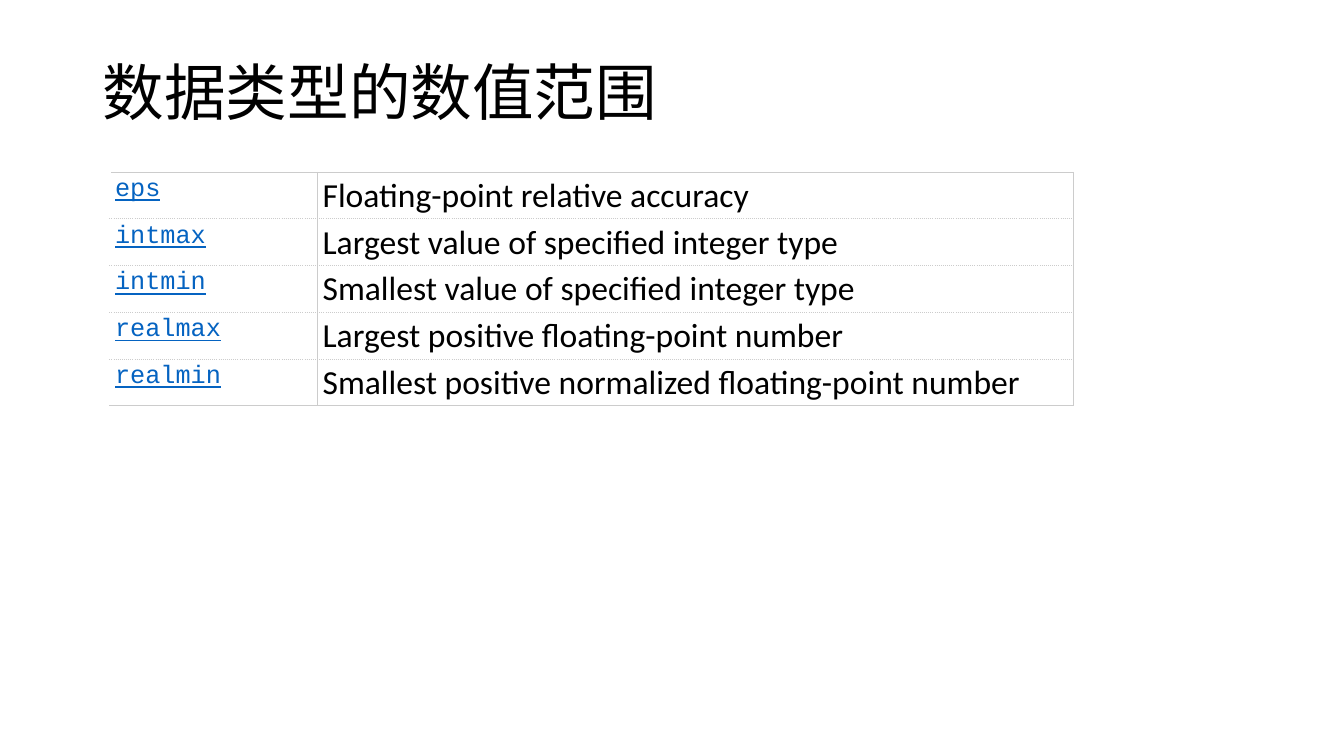
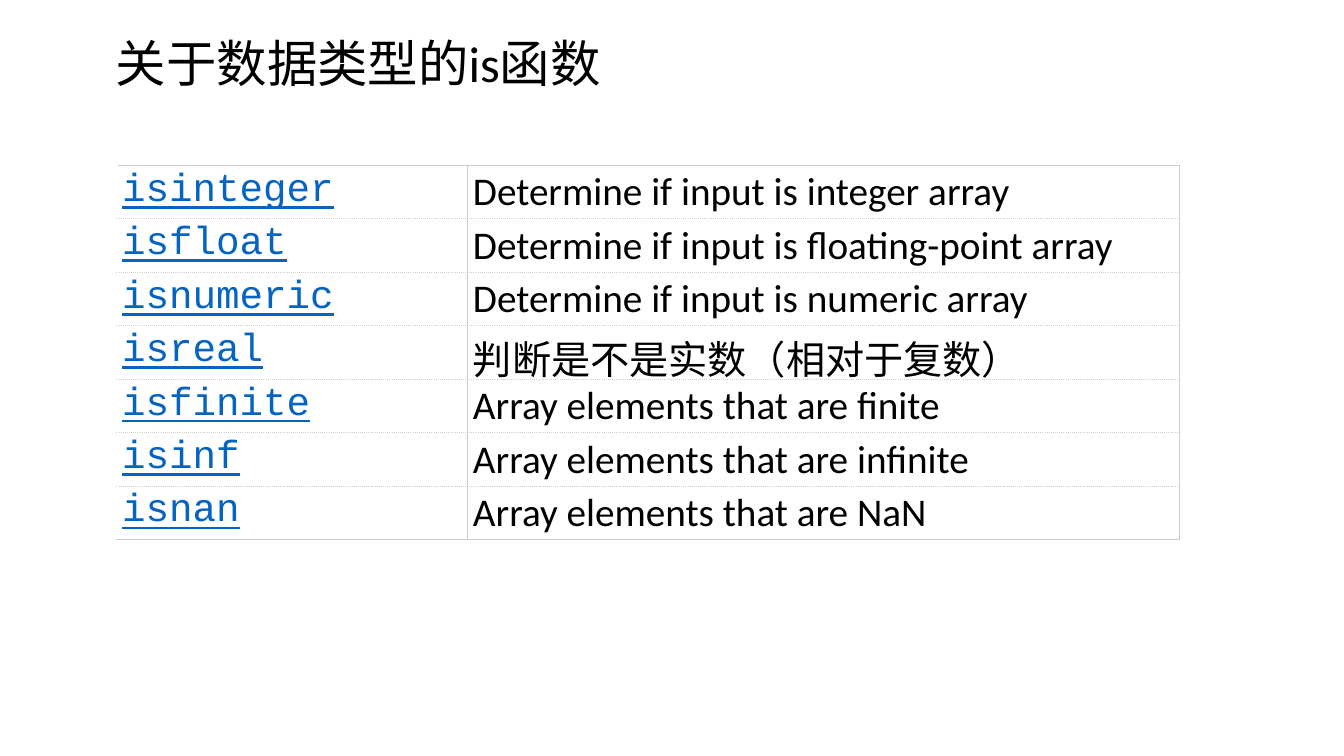
from lxml import etree
from pptx import Presentation
from pptx.dml.color import RGBColor
from pptx.enum.dml import MSO_LINE
from pptx.enum.lang import MSO_LANGUAGE_ID
from pptx.enum.text import MSO_ANCHOR
from pptx.oxml.ns import qn
from pptx.util import Cm, Pt

MIDDLE = MSO_ANCHOR.MIDDLE
CHINESE = MSO_LANGUAGE_ID.SIMPLIFIED_CHINESE
SOLID, DOTTED = MSO_LINE.SOLID, MSO_LINE.ROUND_DOT
DASH_NAMES = {SOLID: "solid", DOTTED: "sysDot"}

COLORS = {"text": "000000", "link": "0563C1", "border": "CCCCCC", "cell": "FFFFFF"}
TEXT_FORMAT = {"name": "Calibri", "underline": False, "language_id": CHINESE}
LINK_FORMAT = {"name": "Courier New", "underline": True, "language_id": CHINESE}
CELL_MARGINS = {"margin_left": Cm(0.13), "margin_right": Cm(0.13),
                "margin_top": Cm(0.08), "margin_bottom": Cm(0.08)}
BORDER_WIDTH = Pt(0.75)
BLANK_LAYOUT = 6

RANGE_FUNCTIONS = [
    ("eps", "Floating-point relative accuracy"),
    ("intmax", "Largest value of specified integer type"),
    ("intmin", "Smallest value of specified integer type"),
    ("realmax", "Largest positive floating-point number"),
    ("realmin", "Smallest positive normalized floating-point number"),
]
IS_FUNCTIONS = [
    ("isinteger", "Determine if input is integer array"),
    ("isfloat", "Determine if input is floating-point array"),
    ("isnumeric", "Determine if input is numeric array"),
    ("isreal", "判断是不是实数（相对于复数）"),
    ("isfinite", "Array elements that are finite"),
    ("isinf", "Array elements that are infinite"),
    ("isnan", "Array elements that are NaN"),
]


def set_attributes(target, values):
    for name, value in values.items():
        setattr(target, name, value)


def write(frame, text, size, color, text_format):
    """Put one formatted run into the frame and return its paragraph."""
    paragraph = frame.paragraphs[0]
    run = paragraph.add_run()
    run.text = text
    set_attributes(run.font, {**text_format, "size": Pt(size)})
    run.font.color.rgb = RGBColor.from_string(COLORS[color])
    return paragraph


def add_title(slide, text, box, size):
    frame = slide.shapes.add_textbox(*map(Cm, box)).text_frame
    set_attributes(frame, {"word_wrap": True, "vertical_anchor": MIDDLE})
    write(frame, text, size, "text", TEXT_FORMAT).line_spacing = 0.9


def add_border(cell, side, dash):
    properties = cell._tc.get_or_add_tcPr()
    line = etree.SubElement(properties, qn(f"a:ln{side}"), w=str(BORDER_WIDTH))
    fill = etree.SubElement(line, qn("a:solidFill"))
    etree.SubElement(fill, qn("a:srgbClr"), val=COLORS["border"])
    etree.SubElement(line, qn("a:prstDash"), val=DASH_NAMES[dash])


def add_function_table(slide, functions, position, column_widths, row_height,
                       link_size, text_size):
    """List function names beside descriptions, open on the left side."""
    row_count = len(functions)
    table = slide.shapes.add_table(
        row_count, len(column_widths), *map(Cm, position),
        Cm(sum(column_widths)), Cm(row_height * row_count)).table
    set_attributes(table, {"first_row": False, "horz_banding": False})
    for column, width in zip(table.columns, column_widths):
        column.width = Cm(width)

    for row, (function, description) in enumerate(functions):
        name_cell, description_cell = table.cell(row, 0), table.cell(row, 1)
        write(name_cell.text_frame, function, link_size, "link", LINK_FORMAT)
        write(description_cell.text_frame, description, text_size, "text", TEXT_FORMAT)
        add_border(description_cell, "L", SOLID)
        for cell in (name_cell, description_cell):
            add_border(cell, "R", SOLID)
            add_border(cell, "T", SOLID if row == 0 else DOTTED)
            add_border(cell, "B", SOLID if row == row_count - 1 else DOTTED)
            set_attributes(cell, CELL_MARGINS)
            cell.fill.solid()
            cell.fill.fore_color.rgb = RGBColor.from_string(COLORS["cell"])


def main():
    presentation = Presentation()
    set_attributes(presentation, {"slide_width": Cm(33.87), "slide_height": Cm(19.05)})
    blank = presentation.slide_layouts[BLANK_LAYOUT]

    range_slide = presentation.slides.add_slide(blank)
    add_title(range_slide, "数据类型的数值范围", (2.34, 1.02, 15.32, 2.77), 44)
    add_function_table(range_slide, RANGE_FUNCTIONS, (2.77, 4.34), (5.23, 19.05),
                       row_height=1.17, link_size=18, text_size=24)

    is_slide = presentation.slides.add_slide(blank)
    add_title(is_slide, "关于数据类型的is函数", (2.67, 0.74, 13.08, 1.85), 36)
    add_function_table(is_slide, IS_FUNCTIONS, (2.95, 4.17), (8.84, 17.93),
                       row_height=1.34, link_size=28, text_size=28)

    presentation.save("out.pptx")


if __name__ == "__main__":
    main()
